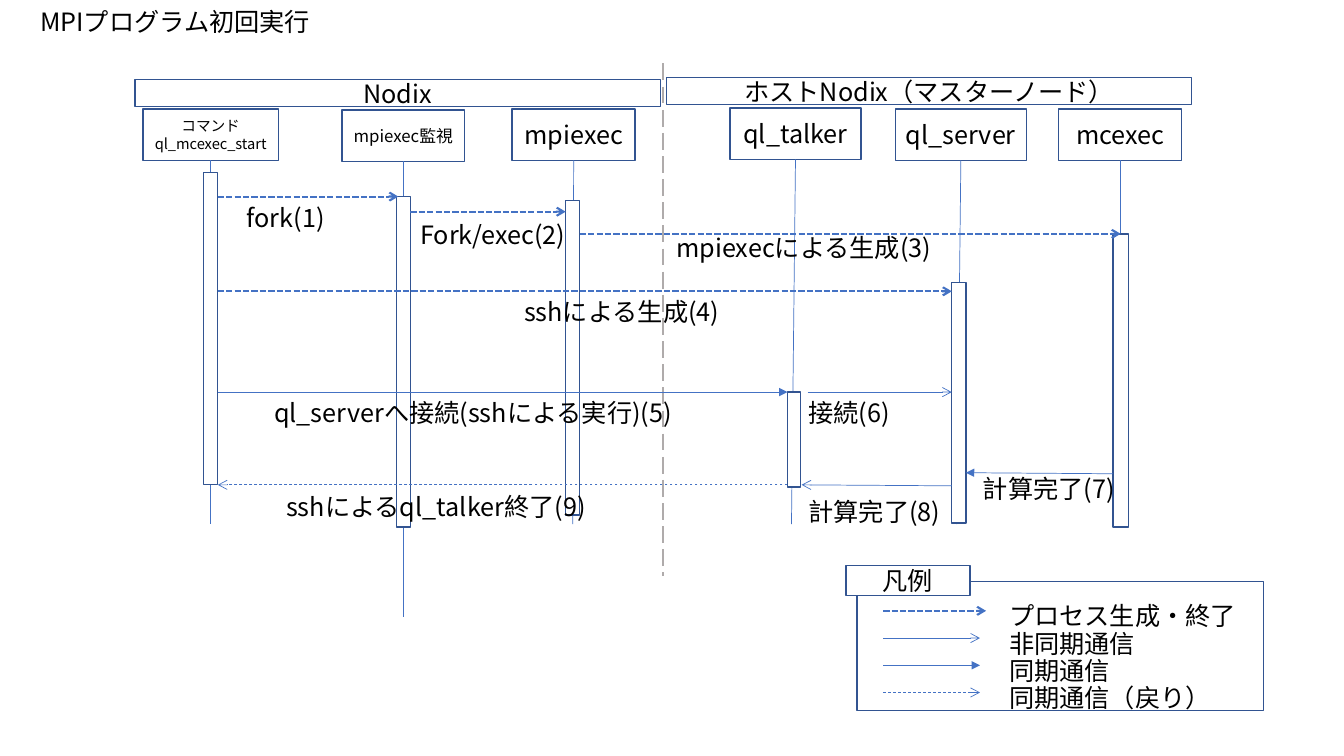
import pptx
import pptx.util
import pptx.dml.color
import pptx.enum.dml
import pptx.enum.shapes
import pptx.enum.text
import pptx.oxml.ns
import lxml.etree

Inches = pptx.util.Inches
Pt = pptx.util.Pt
Color = pptx.dml.color.RGBColor.from_string
Dash = pptx.enum.dml.MSO_LINE
qn = pptx.oxml.ns.qn


class Theme:
    font = "Noto Sans CJK JP"
    text, fill, outline, line, divider = "000000", "FFFFFF", "325491", "4472C4", "AFABAB"
    body, medium, small = 18, 12, 10.5
    thin, frame, thick = 0.5, 1, 1.5


deck = pptx.Presentation()
deck.slide_width, deck.slide_height = Inches(13.33), Inches(7.5)
page = deck.slides.add_slide(deck.slide_layouts[6])

# Message kinds: width, dash, arrowhead
SPAWN = (Theme.thick, Dash.SQUARE_DOT, "arrow")
ASYNC = (Theme.thin, None, "arrow")
SYNC = (Theme.thin, None, "triangle")
RETURN = (Theme.thin, Dash.DASH, "arrow")
LIFELINE = (Theme.thin, None, None)
DIVIDER = (Theme.thick, Dash.LONG_DASH, None)


def add_box(place, label="", size=Theme.body, framed=True):
    """Adds a framed rectangle, or a plain text box that grows with its text."""
    area = [Inches(value) for value in place]
    if framed:
        box = page.shapes.add_shape(pptx.enum.shapes.MSO_SHAPE.RECTANGLE, *area)
        box.shadow.inherit = False
        box.fill.solid()
        box.fill.fore_color.rgb = Color(Theme.fill)
        box.line.color.rgb = Color(Theme.outline)
        box.line.width = Pt(Theme.frame)
        box.text_frame.vertical_anchor = pptx.enum.text.MSO_ANCHOR.MIDDLE
    else:
        box = page.shapes.add_textbox(*area)
        box.text_frame.auto_size = pptx.enum.text.MSO_AUTO_SIZE.SHAPE_TO_FIT_TEXT
    if label:
        box.text_frame.word_wrap = True
        box.text_frame.text = label
        for para in box.text_frame.paragraphs:
            if framed:
                para.alignment = pptx.enum.text.PP_ALIGN.CENTER
            para.font.size = Pt(size)
            para.font.color.rgb = Color(Theme.text)
            para.font.name = Theme.font
            east_asian = lxml.etree.SubElement(para._p.pPr.find(qn("a:defRPr")), qn("a:ea"))
            east_asian.set("typeface", Theme.font)
    return box


def add_line(start, end, kind, color=Theme.line):
    width, dash, arrow = kind
    line = page.shapes.add_connector(
        pptx.enum.shapes.MSO_CONNECTOR.STRAIGHT, *[Inches(value) for value in start + end])
    line.line.color.rgb = Color(color)
    line.line.width = Pt(width)
    if dash:
        line.line.dash_style = dash
    if arrow:
        lxml.etree.SubElement(line.line._get_or_add_ln(), qn("a:tailEnd")).set("type", arrow)
    lxml.etree.SubElement(line._element.spPr, qn("a:effectLst"))
    return line


# Title
add_box((0.3, 0.01, 3.39, 0.4), "MPIプログラム初回実行", framed=False)

# Hosts and the divider between them
add_box((1.34, 0.79, 5.21, 0.27), "Nodix")
add_box((6.61, 0.77, 5.21, 0.27), "ホストNodix（マスターノード）")
add_line((6.58, 0.63), (6.58, 5.71), DIVIDER, Theme.divider)

# Participants: label, size, left, top, width, lifeline end, activation bar
participants = [
    ("コマンド\nql_mcexec_start", Theme.small, 1.42, 1.08, 1.34, (2.09, 5.2), (2.02, 1.71, 0.14, 3.1)),
    ("mpiexec監視", Theme.medium, 3.39, 1.09, 1.22, (4, 6.12), (3.93, 1.95, 0.14, 3.28)),
    ("mpiexec", Theme.body, 5.08, 1.08, 1.22, (5.68, 5.2), (5.61, 1.99, 0.14, 3.12)),
    ("ql_talker", Theme.body, 7.24, 1.07, 1.3, (7.85, 5.2), (7.81, 3.89, 0.13, 0.94)),
    ("ql_server", Theme.body, 8.88, 1.08, 1.3, (9.49, 5.2), (9.44, 2.8, 0.14, 2.39)),
    ("mcexec", Theme.body, 10.5, 1.08, 1.22, (11.11, 5.2), (11.04, 2.32, 0.15, 2.91)),
]
for label, size, left, top, width, lifeline_end, bar_place in participants:
    head = add_box((left, top, width, 0.51), label, size)
    lifeline = add_line((left + width / 2, top + 0.51), lifeline_end, LIFELINE)
    lifeline.begin_connect(head, 2)
    bar = add_box(bar_place)
mcexec_bar = bar

# Messages: start, end, kind, label, label place
messages = [
    ((2.16, 1.95), (3.95, 1.95), SPAWN, "fork(1)", (2.35, 1.96, 1.44)),
    ((4.07, 2.1), (5.61, 2.1), SPAWN, "Fork/exec(2)", (4.07, 2.13, 1.68)),
    ((5.75, 2.32), (11.11, 2.32), SPAWN, "mpiexecによる生成(3)", (6.61, 2.26, 2.8)),
    ((2.16, 2.89), (9.44, 2.89), SPAWN, "sshによる生成(4)", (5.1, 2.89, 2.47)),
    ((2.16, 3.89), (7.81, 3.89), SYNC, "ql_serverへ接続(sshによる実行)(5)", (2.62, 3.89, 4.21)),
    ((8.01, 3.89), (9.44, 3.89), ASYNC, "接続(6)", (7.92, 3.89, 1.78)),
    ((11.04, 4.7), (9.58, 4.69), SYNC, "計算完了(7)", (9.65, 4.65, 1.53)),
    ((9.44, 4.82), (7.95, 4.81), ASYNC, "計算完了(8)", (7.92, 4.87, 1.78)),
    ((7.81, 4.81), (2.16, 4.81), RETURN, "sshによるql_talker終了(9)", (2.74, 4.83, 4.21)),
]
for start, end, kind, label, label_place in messages:
    message = add_line(start, end, kind)
    if end == (11.11, 2.32):
        message.end_connect(mcexec_bar, 0)
    add_box(label_place + (0.4,), label, framed=False)

# Legend
add_box((8.5, 5.77, 4.03, 1.28))
add_box((8.39, 5.61, 1.23, 0.3), "凡例")
legend = [
    (SPAWN, 9.78, "プロセス生成・終了"),
    (ASYNC, 9.72, "非同期通信"),
    (SYNC, 9.72, "同期通信"),
    (RETURN, 9.72, "同期通信（戻り）"),
]
for row, (kind, right, label) in enumerate(legend):
    middle = 6.06 + 0.27 * row
    add_line((8.76, middle), (right, middle), kind)
    add_box((9.91, middle - 0.15, 2.46, 0.32), label, framed=False)

deck.save("out.pptx")
